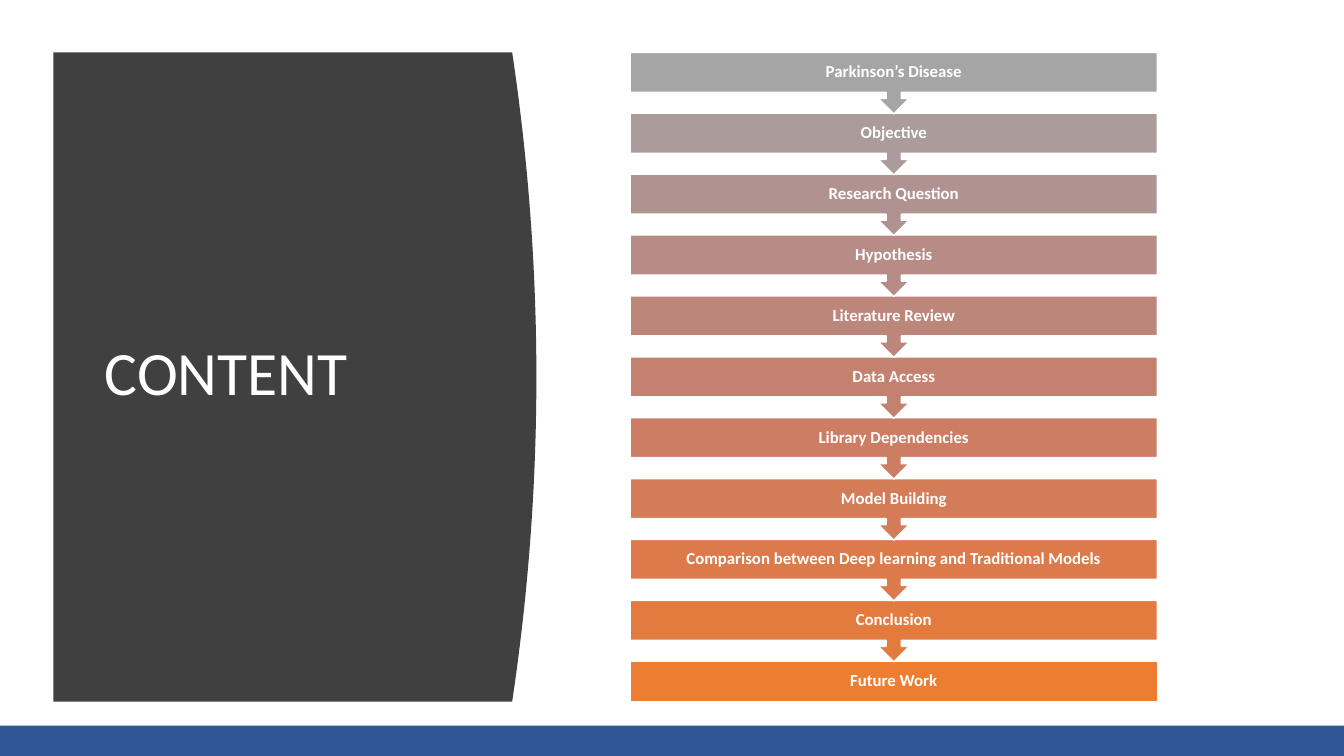
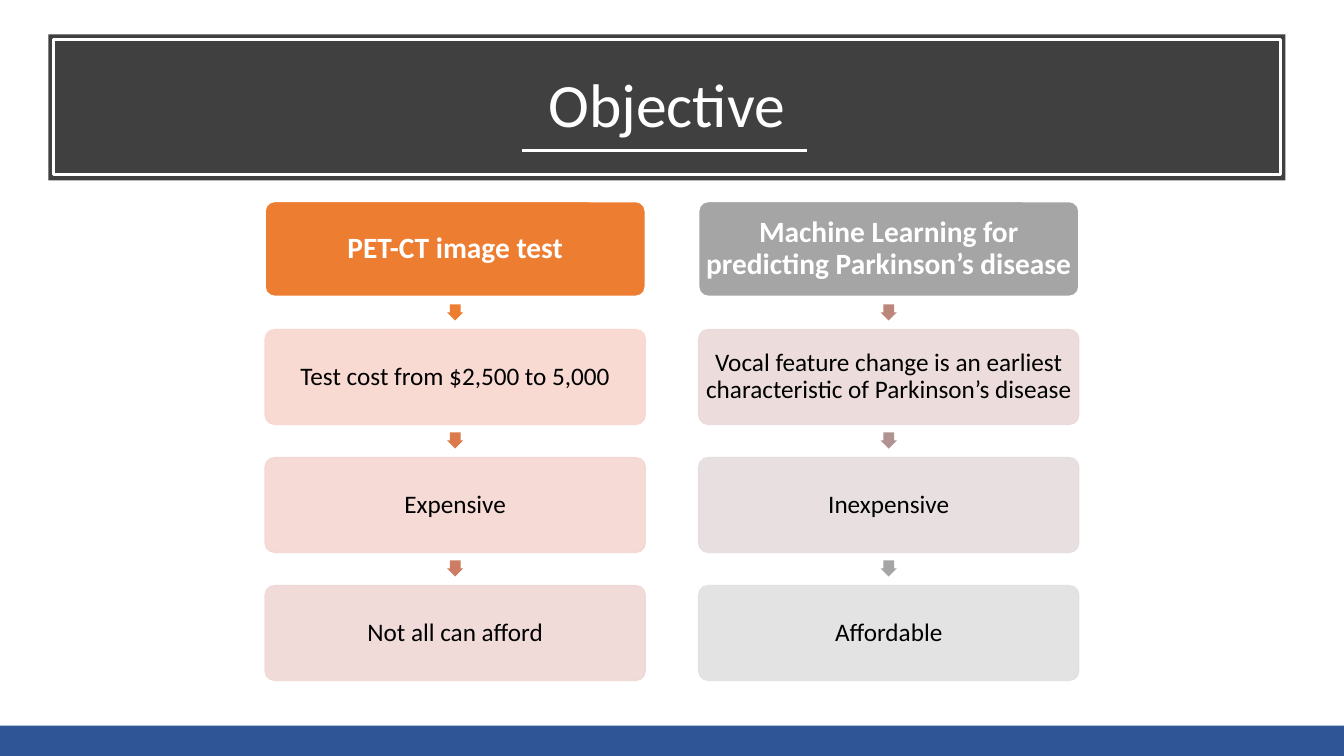
from lxml.etree import SubElement
from pptx import Presentation
from pptx.dml.color import RGBColor
from pptx.enum.shapes import MSO_CONNECTOR, MSO_SHAPE
from pptx.enum.text import MSO_ANCHOR, MSO_AUTO_SIZE, PP_ALIGN
from pptx.oxml.ns import qn
from pptx.util import Inches, Pt

COLORS = {
    "white": "FFFFFF", "black": "000000", "panel": "404040", "band": "2F5597",
    "ramp 0": "A5A5A5", "ramp 1": "AB9C9B", "ramp 2": "B09391",
    "ramp 3": "B78C86", "ramp 4": "BD867B", "ramp 5": "C48170",
    "ramp 6": "CC7D64", "ramp 7": "D47B58", "ramp 8": "DC7A4B",
    "ramp 9": "E47B3E", "ramp 10": "ED7D31",
    "cost": "F8D7CE", "expensive": "F4D7D1", "unaffordable": "EFD8D5",
    "vocal": "EADAD9", "inexpensive": "E6DDDD", "affordable": "E1E1E1",
}

TOPICS = [
    "Parkinson’s Disease", "Objective", "Research Question", "Hypothesis",
    "Literature Review", "Data Access", "Library Dependencies",
    "Model Building", "Comparison between Deep learning and Traditional Models",
    "Conclusion", "Future Work",
]

APPROACHES = [
    ("PET-CT image test", "ramp 10", [
        ("Test cost from $2,500 to 5,000", "cost", "ramp 10"),
        ("Expensive", "expensive", "ramp 8"),
        ("Not all can afford", "unaffordable", "ramp 6")]),
    ("Machine Learning for predicting Parkinson’s disease", "ramp 0", [
        ("Vocal feature change is an earliest characteristic of Parkinson’s disease",
         "vocal", "ramp 4"),
        ("Inexpensive", "inexpensive", "ramp 2"),
        ("Affordable", "affordable", "ramp 0")]),
]


class SlideBuilder:
    font = "Calibri"

    def __init__(self):
        self.deck = Presentation()
        self.deck.slide_width = Inches(13.33)
        self.deck.slide_height = Inches(7.5)
        self.page = None

    def add_page(self):
        self.page = self.deck.slides.add_slide(self.deck.slide_layouts[5])

    def add_master_band(self):
        band = self.shape(MSO_SHAPE.RECTANGLE, (0, 7.2, 13.33, 0.3), "band")
        band.element.xpath("./p:nvSpPr/p:cNvPr")[0].set("id", "100")
        self.deck.slide_master.shapes.element.insert(2, band.element)

    def color(self, name):
        return RGBColor.from_string(COLORS[name])

    def paint(self, shape, fill=None, line=None, width=1, opacity=100):
        if fill:
            shape.fill.solid()
            shape.fill.fore_color.rgb = self.color(fill)
        else:
            shape.fill.background()
        if line:
            shape.line.color.rgb = self.color(line)
            shape.line.width = Pt(width)
        else:
            shape.line.fill.background()
        if opacity < 100:
            for tone in shape.element.spPr.iter(qn("a:srgbClr")):
                SubElement(tone, qn("a:alpha")).set("val", str(opacity * 1000))
        shape.shadow.inherit = False

    def shape(self, kind, bounds, fill=None, line=None, width=1, opacity=100):
        shape = self.page.shapes.add_shape(kind, *map(Inches, bounds))
        self.paint(shape, fill, line, width, opacity)
        return shape

    def set_text(self, shape, text, size, color="white", bold=False,
                 align=PP_ALIGN.CENTER, inset=None):
        frame = shape.text_frame
        frame.word_wrap = True
        frame.auto_size = MSO_AUTO_SIZE.NONE
        frame.vertical_anchor = MSO_ANCHOR.MIDDLE
        if inset is not None:
            frame.margin_left = frame.margin_right = Inches(inset)
            frame.margin_top = frame.margin_bottom = Inches(inset)
        para = frame.paragraphs[0]
        para.text = text
        para.alignment = align
        para.line_spacing = 0.9
        para.font.name = self.font
        para.font.size = Pt(size)
        para.font.bold = bold
        para.font.color.rgb = self.color(color)

    def title(self, text, bounds, align=PP_ALIGN.CENTER, fill=None):
        title = self.page.shapes.title
        title.left, title.top, title.width, title.height = map(Inches, bounds)
        if fill:
            self.paint(title, fill)
        self.set_text(title, text, 44, align=align)

    def curved_panel(self, left, top, right, bottom, bulge, steps=40):
        curve = []
        for step in range(steps + 1):
            part = step / steps
            curve.append((Inches(right + 4 * bulge * part * (1 - part)),
                          Inches(top + (bottom - top) * part)))
        outline = self.page.shapes.build_freeform(Inches(left), Inches(top))
        outline.add_line_segments(curve + [(Inches(left), Inches(bottom))])
        panel = outline.convert_to_shape()
        self.paint(panel, "panel")
        self.page.shapes.element.insert(2, panel.element)

    def topic(self, kind, bounds, text, fill):
        box = self.shape(kind, bounds, fill, "white")
        self.set_text(box, text, 12, bold=True, inset=0.09)

    def card(self, bounds, text, fill, header=False):
        box = self.shape(MSO_SHAPE.ROUNDED_RECTANGLE, bounds, fill,
                         "white" if header else fill,
                         opacity=100 if header else 90)
        box.adjustments[0] = 0.1
        self.set_text(box, text, 21 if header else 18,
                      "white" if header else "black", header, inset=0.03)

    def down_arrow(self, center, top, fill, size=0.16):
        arrow = self.shape(MSO_SHAPE.DOWN_ARROW,
                           (center - size / 2, top, size, size), fill)
        arrow.adjustments[0] = 0.667
        arrow.adjustments[1] = 0.5

    def line(self, start_x, start_y, end_x, end_y):
        line = self.page.shapes.add_connector(
            MSO_CONNECTOR.STRAIGHT, *map(Inches, (start_x, start_y, end_x, end_y)))
        line.line.color.rgb = self.color("white")
        line.line.width = Pt(2.25)
        SubElement(line.element.spPr, qn("a:effectLst"))


def build_content(builder):
    builder.add_page()
    builder.add_master_band()
    builder.curved_panel(0.53, 0.52, 5.08, 6.96, 0.24)
    builder.title("CONTENT", (0.94, 1.11, 3.74, 5.24), PP_ALIGN.LEFT)
    last = len(TOPICS) - 1
    pitch = (6.56 - 0.52) / last
    for index in range(last, -1, -1):
        is_last = index == last
        kind = MSO_SHAPE.RECTANGLE if is_last else MSO_SHAPE.DOWN_ARROW_CALLOUT
        height = 0.4 if is_last else 0.61
        builder.topic(kind, (6.25, 0.52 + index * pitch, 5.23, height),
                      TOPICS[index], f"ramp {index}")


def build_objective(builder):
    builder.add_page()
    builder.title("Objective", (0.48, 0.34, 12.27, 1.45), fill="panel")
    top, width, height, pitch = 2, 3.77, 0.94, 1.27
    for column, (heading, fill, points) in enumerate(APPROACHES):
        left = 2.63 + column * 4.3
        builder.card((left, top, width, height), heading, fill, header=True)
        for row, (text, tint, arrow_fill) in enumerate(points, 1):
            card_top = top + row * pitch
            builder.down_arrow(left + width / 2, card_top - 0.25, arrow_fill)
            builder.card((left, card_top, width, height), text, tint)
    builder.shape(MSO_SHAPE.RECTANGLE, (0.53, 0.39, 12.17, 1.34),
                  line="white", width=2.25)
    builder.line(5.18, 1.49, 8, 1.49)


def main():
    builder = SlideBuilder()
    build_content(builder)
    build_objective(builder)
    builder.deck.save("out.pptx")


if __name__ == "__main__":
    main()
